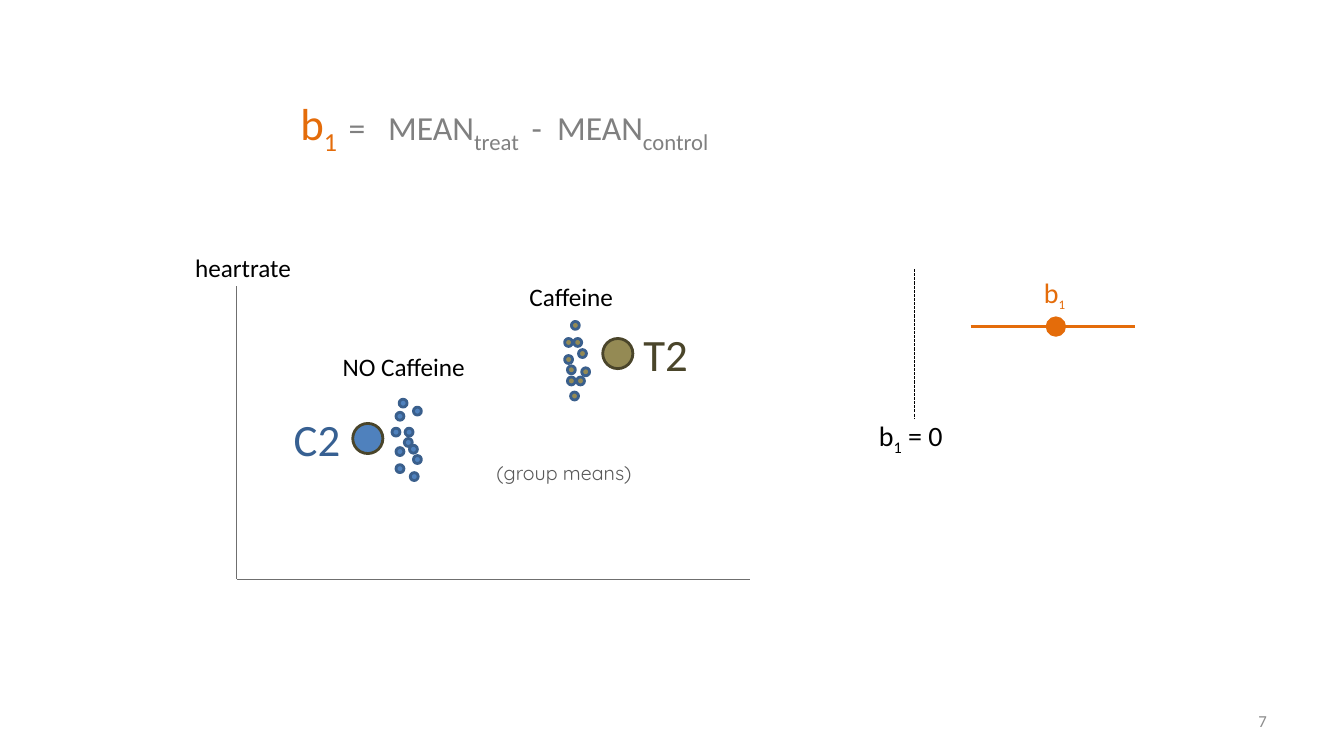
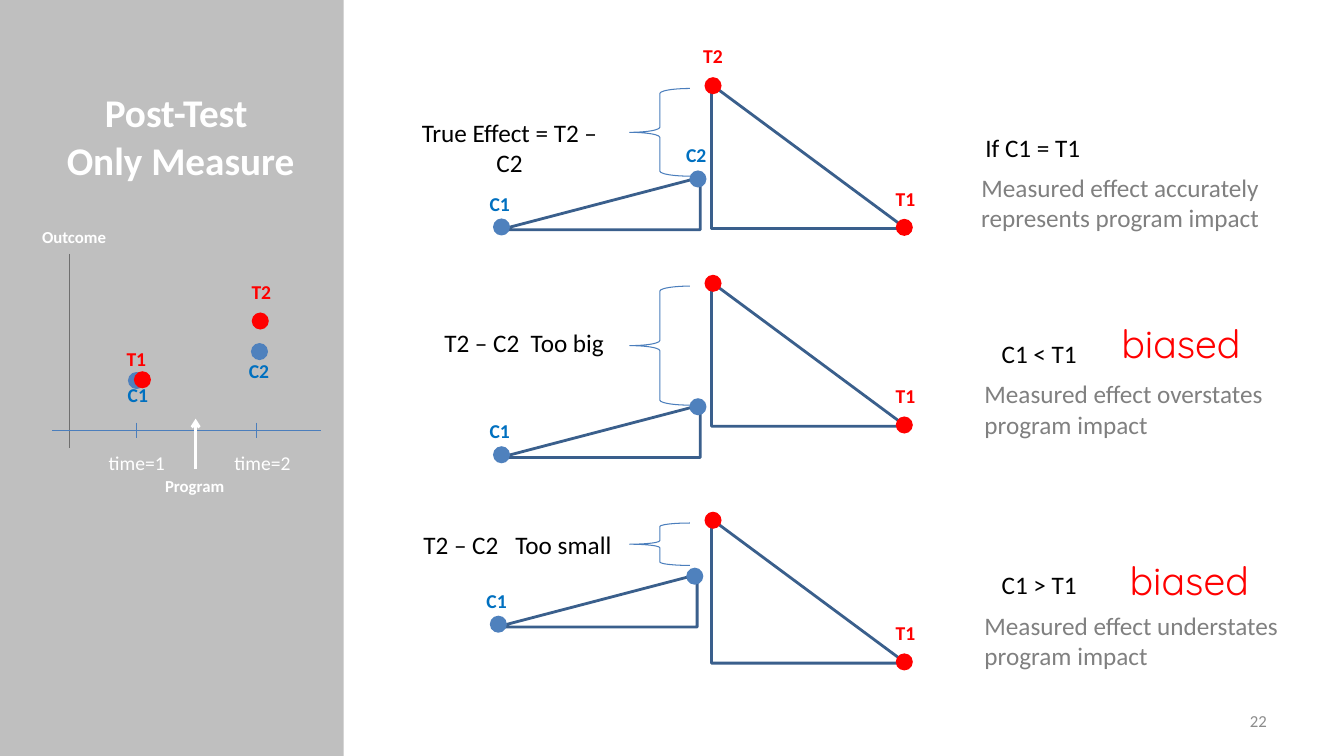
from lxml import etree
from pptx import Presentation
from pptx.dml.color import RGBColor
from pptx.enum import dml, shapes, text
from pptx.oxml.ns import qn
from pptx.util import Cm, Pt

BLUE, NAVY, THIN = "4F81BD", "3A5F8C", "4B7EBC"
RED, SKY, ORANGE = "FF0000", "0070C0", "E46C0A"
OLIVE, BARK, STEEL = "948A54", "4A452A", "376092"
BLACK, WHITE, GRAY, AXIS = "000000", "FFFFFF", "808080", "6F6F6F"
BAND, PALE, SOFT = "BFBFBF", "8C8C8C", "595959"
LEFT, MID, RIGHT = text.PP_ALIGN.LEFT, text.PP_ALIGN.CENTER, text.PP_ALIGN.RIGHT
FORM = shapes.MSO_SHAPE


def hue(code):
    return RGBColor.from_string(code)


def tall(size):
    return Cm(round((size * 1.2 + 7.2) * 2.54 / 72, 2))


def write(para, words, size, ink, bold=False, font="Calibri", low=False):
    run = para.add_run()
    run.text = words
    run.font.name = font
    run.font.size = Pt(size)
    run.font.bold = bold
    run.font.color.rgb = hue(ink)
    if low:
        run._r.get_or_add_rPr().set("baseline", "-25000")


def label(page, x, y, w, words, size, ink, al=LEFT, wrap=False, bold=False, font="Calibri"):
    box = page.shapes.add_textbox(Cm(x), Cm(y), Cm(w), tall(size))
    box.text_frame.word_wrap = wrap
    para = box.text_frame.paragraphs[0]
    para.alignment = al
    parts = [words] if isinstance(words, str) else words
    for part in parts:
        word, pts, low = (part, size, False) if isinstance(part, str) else part
        write(para, word, pts, ink, bold, font, low)


def shape(page, kind, x, y, w, h, fill=None, edge=None, thick=2, flip=False):
    item = page.shapes.add_shape(kind, Cm(x), Cm(y), Cm(w), Cm(h))
    item.shadow.inherit = False
    if fill:
        item.fill.solid()
        item.fill.fore_color.rgb = hue(fill)
    else:
        item.fill.background()
    if edge:
        item.line.color.rgb = hue(edge)
        item.line.width = Pt(thick)
    else:
        item.line.fill.background()
    if flip:
        item.element.spPr.find(qn("a:xfrm")).set("flipH", "1")
    return item


def dot(page, x, y, size, fill, edge=None):
    shape(page, FORM.OVAL, x - size / 2, y - size / 2, size, size, fill, edge)


def line(page, x, y, right, low, ink, thick=0.75):
    item = page.shapes.add_connector(
        shapes.MSO_CONNECTOR.STRAIGHT, Cm(x), Cm(y), Cm(right), Cm(low))
    item.line.color.rgb = hue(ink)
    item.line.width = Pt(thick)
    etree.SubElement(item.element.spPr, qn("a:effectLst"))
    return item


def title(page, x, y, w, h):
    head = page.shapes.title
    head.left, head.top, head.width, head.height = Cm(x), Cm(y), Cm(w), Cm(h)
    frame = head.text_frame
    frame.word_wrap = False
    frame.auto_size = text.MSO_AUTO_SIZE.NONE
    frame.vertical_anchor = text.MSO_ANCHOR.TOP
    frame.paragraphs[0].alignment = MID
    return frame


def start(deck, number):
    page = deck.slides.add_slide(deck.slide_layouts[5])
    label(page, 24.28, 17.78, 7.9, number, 12, PALE, RIGHT, True)
    return page


def formula(page, x, y):
    para = title(page, x, y, 11.5, 1.63).paragraphs[0]
    for words, size, ink, low in (
        ("b", 32, ORANGE, False), ("1  ", 32, ORANGE, True),
        ("=   MEAN", 24, GRAY, False), ("treat ", 28, GRAY, True),
        (" -  MEAN", 24, GRAY, False), ("control", 28, GRAY, True),
    ):
        write(para, words, size, ink, low=low)


def plot(page, x, y, w, h):
    line(page, x, y + h, x + w, y + h, AXIS)
    line(page, x, y, x, y + h, AXIS)
    control = ((4.01, 3.68), (4.34, 3.68), (4.32, 3.94), (4.11, 4.17),
               (4.55, 4.37), (4.11, 4.6), (4.47, 4.8), (4.55, 3.15),
               (4.19, 2.95), (4.11, 3.28), (4.45, 4.11))
    treat = ((8.36, 1.85), (8.36, 1.42), (8.71, 1.7), (8.79, 2.16),
             (8.43, 2.39), (8.66, 2.39), (8.51, 2.77), (8.53, 0.99),
             (8.59, 1.42), (8.43, 2.11))
    for points, mean, fill in (
        (control, (3.3, 3.84), BLUE), (treat, (9.6, 1.7), OLIVE),
    ):
        for dx, dy in points:
            dot(page, x + dx, y + dy, 0.2, fill, NAVY)
        dot(page, x + mean[0], y + mean[1], 0.76, fill, BARK)
    for dx, dy, wide, words, size, ink in (
        (-1.32, -0.97, 2.95, "heartrate", 18, BLACK),
        (7.09, -0.25, 2.67, "Caffeine", 18, BLACK),
        (2.39, 1.52, 3.63, "NO Caffeine", 18, BLACK),
        (9.98, 0.89, 1.65, "T2", 32, BARK),
        (1.17, 3.05, 1.7, "C2", 32, STEEL),
    ):
        label(page, x + dx, y + dy, wide, words, size, ink, MID)
    label(page, x + 4.22, y + 4.29, 8.05, "(group means)", 14, SOFT, MID, True,
          font="Quicksand")


def slope(page, x, y):
    zero = line(page, x, y, x, y + 3.78, BLACK)
    zero.line.dash_style = dml.MSO_LINE.SQUARE_DOT
    label(page, x - 1.14, y + 3.63, 2.16, ["b", ("1", 20, True), " = 0"], 20, BLACK)
    line(page, x + 1.42, y + 1.45, x + 5.56, y + 1.45, ORANGE, 2)
    label(page, x + 3.02, y + 0.05, 1.07, ["b", ("1", 16, True)], 20, ORANGE)
    dot(page, x + 3.57, y + 1.45, 0.44, ORANGE, ORANGE)


def tag(page, x, y, words):
    label(page, x, y, 1.02, words, 14, RED if words[0] == "T" else SKY, bold=True)


def panel(page, x, y, w, h):
    band = shape(page, FORM.RECTANGLE, x, y, w, h, BAND)
    page.shapes.title.element.addprevious(band.element)
    frame = title(page, x, y + 2.11, 9.1, 3.5)
    write(frame.paragraphs[0], "Post-Test ", 28, WHITE, True)
    para = frame.add_paragraph()
    para.alignment = MID
    write(para, "Only Measure", 28, WHITE, True)
    graph(page, x + 1.75, y + 10.85)


def graph(page, x, y):
    line(page, x, y - 4.45, x, y + 0.43, AXIS)
    line(page, x - 0.43, y, x + 6.35, y, THIN)
    for dx, dy, fill in ((1.69, -1.26, BLUE), (4.79, -1.99, BLUE),
                         (1.84, -1.28, RED), (4.81, -2.76, RED)):
        dot(page, x + dx, y + dy, 0.43, fill)
    for dx, left, words in ((1.7, 0.74, "time=1"), (4.72, 3.91, "time=2")):
        line(page, x + dx, y - 0.2, x + dx, y + 0.2, THIN)
        label(page, x + left, y + 0.38, 2.01, words, 14, WHITE)
    arrow = line(page, x + 3.18, y + 0.97, x + 3.18, y - 0.3, WHITE, 2)
    etree.SubElement(arrow.line._get_or_add_ln(), qn("a:tailEnd")).set("type", "arrow")
    label(page, x + 2.16, y + 1.02, 2.03, "Program", 12, WHITE, bold=True)
    label(page, x - 0.94, y - 5.26, 2.13, "Outcome", 12, WHITE, bold=True)
    for dx, dy, words in ((4.34, -3.91, "T2"), (1.19, -2.24, "T1"),
                          (1.22, -1.32, "C1"), (4.27, -1.93, "C2")):
        tag(page, x + dx, y + dy, words)


def wedge(page, x, y, left, drop, gap):
    shape(page, FORM.RIGHT_TRIANGLE, x, y, 4.9, 3.63, edge=NAVY)
    cx, cy = x + left, y + drop
    shape(page, FORM.RIGHT_TRIANGLE, cx, cy, 5.05, 1.32, edge=NAVY, flip=True)
    shape(page, FORM.RIGHT_BRACE, x - 2.06, y + 0.1, 1.52, gap, edge=THIN,
          thick=0.75, flip=True)
    for px, py, fill in ((x + 0.04, y + 0.03, RED), (x + 4.86, y + 3.6, RED),
                         (cx + 4.99, cy + 0.04, BLUE), (cx + 0.04, cy + 1.25, BLUE)):
        dot(page, px, py, 0.43, fill)
    tag(page, cx - 0.51, cy + 0.23, "C1")
    tag(page, x + 4.39, y + 2.45, "T1")


def effect(page, x, y, name, rule, note):
    words, dx, dy = name
    label(page, x + dx - 2.75, y + dy, 5.5, words, 18, BLACK, MID)
    words, dx, dy = rule
    label(page, x + dx - 1.5, y + dy, 3, words, 18, BLACK, MID)
    words, dx, dy, al = note
    label(page, x + dx, y + dy, 7.9, words, 18, GRAY, al, True)


def means(deck):
    page = start(deck, "7")
    formula(page, 6.96, 2.29)
    plot(page, 5.97, 7.21, 12.93, 7.39)
    slope(page, 23.04, 6.78)


def biases(deck):
    page = start(deck, "22")
    panel(page, 0, 0, 8.66, 19.05)
    x = 17.93
    for y, sizes, name, rule, note, bias in (
        (2.13, (-5.33, 2.34, 2.21), ("True Effect = T2 – C2", -5.09, 0.69),
         ("If C1 = T1", 8.1, 1.09),
         ("Measured effect accurately represents program impact", 6.35, 2.08, MID), None),
        (7.11, (-5.33, 3.1, 3), ("T2 – C2  Too big", -4.72, 1.02),
         ("C1 < T1", 8.26, 1.3),
         ("Measured effect overstates program impact", 6.63, 2.31, LEFT), 10.08),
        (13.08, (-5.41, 1.4, 1.07), ("T2 – C2   Too small", -4.89, 0.13),
         ("C1 > T1", 8.26, 1.14),
         ("Measured effect understates program impact", 6.63, 2.18, LEFT), 10.29),
    ):
        wedge(page, x, y, *sizes)
        effect(page, x, y, name, rule, note)
        if bias:
            label(page, x + bias, y + 0.82, 3.78, "biased", 28, RED, font="Quicksand")
        else:
            tag(page, x - 0.46, y - 1.14, "T2")
            tag(page, x - 0.89, y + 1.35, "C2")


deck = Presentation()
deck.slide_width, deck.slide_height = Cm(33.87), Cm(19.05)
means(deck)
biases(deck)
deck.save("out.pptx")
